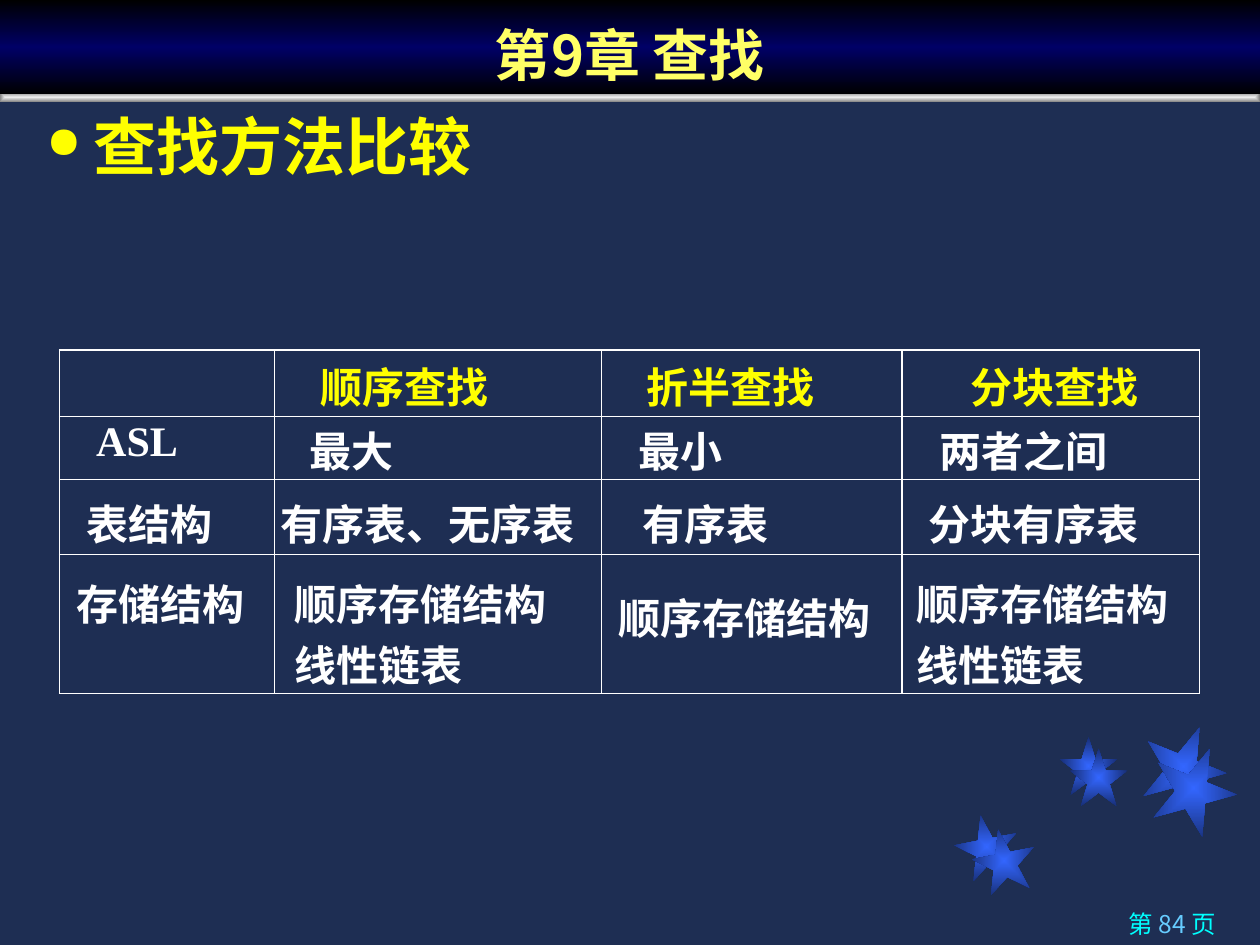
from lxml import etree
from pptx import Presentation
from pptx.dml.color import RGBColor
from pptx.enum import shapes, text
from pptx.oxml import ns
from pptx.util import Pt

COLORS = {
    "background": "1E2E53", "white": "FFFFFF", "yellow": "FFFF00",
    "title": "FFFF66", "cyan": "00FFFF", "sky": "66CCFF",
    "black": "000000", "navy": "000066", "star": "3366FF",
    "star_edge": "182F76", "silver": "EDEDED", "gray": "808080",
}
CJK = "Noto Sans CJK SC"

# (left, top, size, rotation)
STARS = [
    (545.8, 465.8, 36, 349), (605.5, 421.2, 33.1, 0), (652.3, 414, 48.2, 22),
    (555.8, 473.8, 36, 349), (611.3, 427.7, 33.1, 0), (658.1, 426.2, 48.2, 22),
]

COL_WIDTHS = [123, 186.5, 172, 170]
ROW_HEIGHTS = [34, 36, 42.5, 70.5]
# Each cell: (text, left margin, top margin)
ROWS = [
    [("", 0, 0), ("顺序查找", 26, 3), ("折半查找", 26, 3), ("分块查找", 39, 3)],
    [("ASL", 21, 1.5), ("最大", 20, 1.5), ("最小", 21.5, 1.5),
     ("两者之间", 21.5, 1.5)],
    [("表结构", 15.5, 7), ("有序表、无序表", 3.5, 7), ("有序表", 23.5, 7),
     ("分块有序表", 15, 7)],
    [("存储结构", 10, 10), ("顺序存储结构\n线性链表", 11.5, 10),
     ("顺序存储结构", 10, 18), ("顺序存储结构\n线性链表", 8, 10)],
]


def rgb(name):
    return RGBColor.from_string(COLORS[name])


def sub(parent, tag, **attrs):
    return etree.SubElement(parent, ns.qn(tag), attrs)


def set_attrs(obj, **values):
    for name, value in values.items():
        setattr(obj, name, value)


def format_font(font, color, **values):
    set_attrs(font, **values)
    font.color.rgb = rgb(color)


def fill_gradient(sp, stops, angle=None):
    """Fill with (percent, colour) stops, from the centre if no angle is given."""
    sp.fill.gradient()
    grad = sp._element.spPr.find(ns.qn("a:gradFill"))
    for child in list(grad):
        grad.remove(child)
    gs_list = sub(grad, "a:gsLst")
    for percent, color in stops:
        gs = sub(gs_list, "a:gs", pos=str(percent * 1000))
        sub(gs, "a:srgbClr", val=COLORS[color])
    if angle is None:
        path = sub(grad, "a:path")
        path.set("path", "rect")
        sub(path, "a:fillToRect", l="50000", t="50000", r="50000", b="50000")
    else:
        sub(grad, "a:lin", ang=str(angle * 60000), scaled="0")


def add_gradient_shape(s, kind, box, colors, rotation=0):
    sp = s.shapes.add_shape(kind, *map(Pt, box))
    sp.shadow.inherit = False
    sp.rotation = rotation
    sp.line.fill.background()
    fill_gradient(sp, list(zip((0, 100), colors)))


def add_textbox(s, box):
    tf = s.shapes.add_textbox(*map(Pt, box)).text_frame
    tf.word_wrap = True
    return tf.paragraphs[0]


def add_title(s):
    sp = s.shapes.title
    s.shapes._spTree.append(sp._element)  # in front of the silver bar
    set_attrs(sp, left=Pt(0), top=Pt(0), width=Pt(720), height=Pt(54))
    fill_gradient(sp, [(0, "black"), (50, "navy"), (100, "black")], 90)
    tf = sp.text_frame
    tf.vertical_anchor = text.MSO_ANCHOR.BOTTOM
    p = tf.paragraphs[0]
    p.text = "第9章 查找"
    p.alignment = text.PP_ALIGN.CENTER
    format_font(p.runs[0].font, "title", name=CJK, size=Pt(32), bold=True)


def add_bullet(s):
    p = add_textbox(s, (19.4, 57.6, 694.8, 70.6))
    pPr = p._p.get_or_add_pPr()
    pPr.set("marL", str(Pt(27)))
    pPr.set("indent", str(-Pt(27)))
    sub(sub(pPr, "a:buClr"), "a:srgbClr", val=COLORS["yellow"])
    sub(pPr, "a:buSzPct", val="70000")
    sub(pPr, "a:buChar", char="●")
    r = p.add_run()
    r.text = "查找方法比较"
    format_font(r.font, "yellow", name="Arial", size=Pt(36), bold=True)


def add_page_number(s):
    p = add_textbox(s, (512.6, 516, 189.4, 26))
    p.alignment = text.PP_ALIGN.RIGHT
    for words, color in [("第 ", "cyan"), ("84 ", "sky"), ("页", "cyan")]:
        r = p.add_run()
        r.text = words
        format_font(r.font, color, name=CJK, size=Pt(14))


def set_borders(cell):
    tcPr = cell._tc.get_or_add_tcPr()
    for i, side in enumerate(("a:lnL", "a:lnR", "a:lnT", "a:lnB")):
        ln = etree.Element(ns.qn(side), w=str(Pt(0.75)))
        sub(sub(ln, "a:solidFill"), "a:srgbClr", val=COLORS["white"])
        tcPr.insert(i, ln)


def add_comparison_table(s):
    table = s.shapes.add_table(
        len(ROWS), len(COL_WIDTHS), Pt(34), Pt(200),
        Pt(sum(COL_WIDTHS)), Pt(sum(ROW_HEIGHTS))).table
    table.horz_banding = False
    for col, width in zip(table.columns, COL_WIDTHS):
        col.width = Pt(width)
    for i, (row, height) in enumerate(zip(table.rows, ROW_HEIGHTS)):
        row.height = Pt(height)
        for cell, (words, left, top) in zip(row.cells, ROWS[i]):
            set_attrs(cell, text=words, margin_left=Pt(left), margin_top=Pt(top),
                      margin_right=0, margin_bottom=0)
            cell.fill.background()
            set_borders(cell)
            for p in cell.text_frame.paragraphs:
                for r in p.runs:
                    format_font(r.font, "white" if i else "yellow",
                                name="Times New Roman", size=Pt(24), bold=True)


def main():
    prs = Presentation()
    set_attrs(prs, slide_width=Pt(720), slide_height=Pt(540))
    s = prs.slides.add_slide(prs.slide_layouts[5])
    s.background.fill.solid()
    s.background.fill.fore_color.rgb = rgb("background")
    for left, top, size, rotation in STARS:
        add_gradient_shape(s, shapes.MSO_SHAPE.STAR_5_POINT,
                           (left, top, size, size), ("star", "star_edge"), rotation)
    add_gradient_shape(s, shapes.MSO_SHAPE.RECTANGLE, (0, 52.6, 720, 5.8),
                       ("silver", "gray"))
    add_page_number(s)
    add_bullet(s)
    add_title(s)
    add_comparison_table(s)
    prs.save("out.pptx")


if __name__ == "__main__":
    main()
